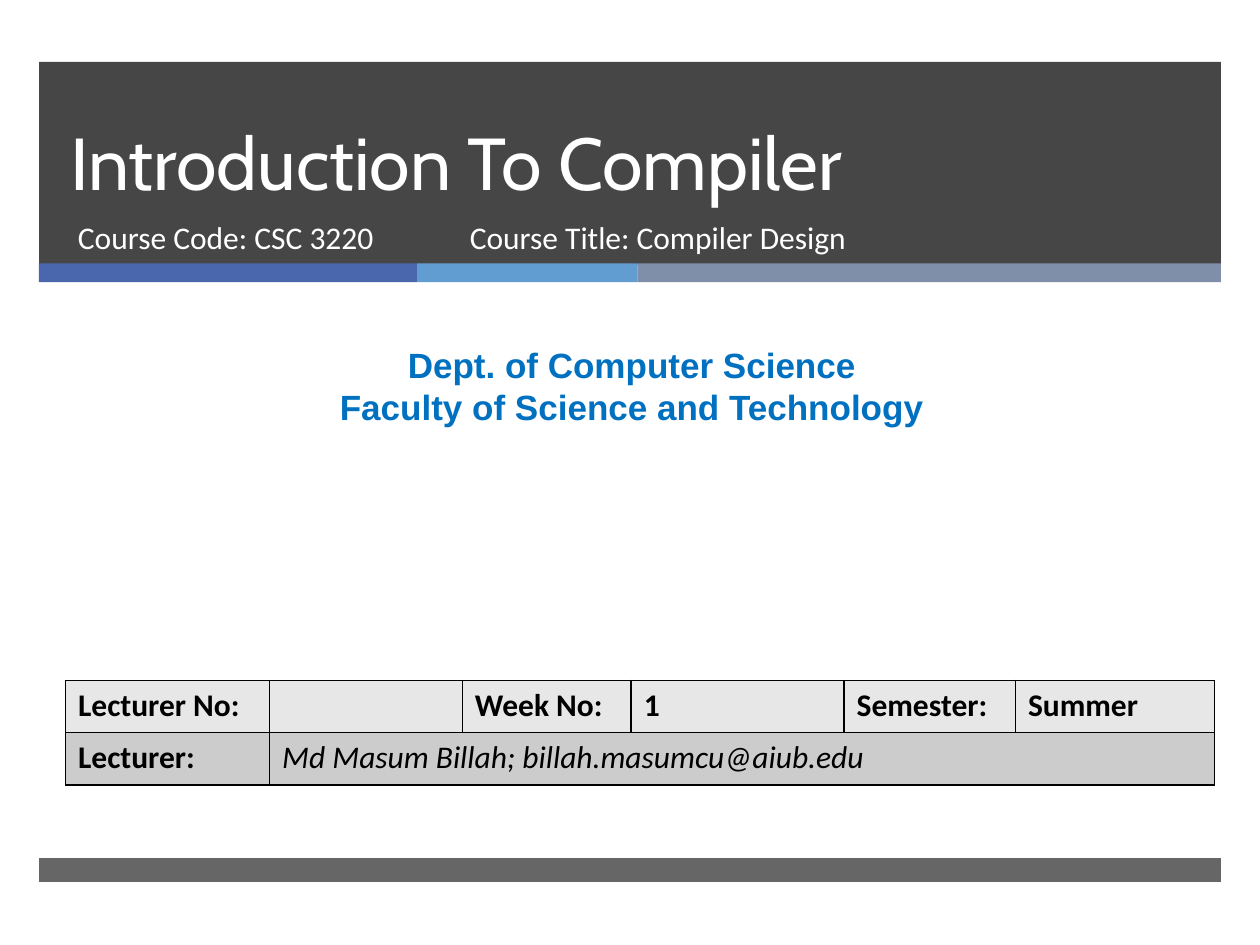
from lxml import etree
from pptx import Presentation
from pptx.dml.color import RGBColor
from pptx.enum.shapes import MSO_SHAPE
from pptx.enum.text import MSO_ANCHOR, PP_ALIGN
from pptx.oxml.ns import qn
from pptx.util import Inches, Pt

COLORS = {
    "dark": "262626", "indigo": "4A66AC", "sky": "629DD1", "slate": "7F8FA9",
    "white": "FFFFFF", "blue": "0070C0", "black": "000000",
    "row_light": "E7E7E7", "row_dark": "CCCCCC",
}
TITLE = {"name": "Cabin", "size": Pt(42)}
BODY = {"name": "Calibri", "size": Pt(18)}
HEADING = {"name": "Arial", "size": Pt(20), "bold": True}


def rgb(key):
    return RGBColor.from_string(COLORS[key])


def style_run(r, fmt, color):
    for attr, value in fmt.items():
        setattr(r.font, attr, value)
    r.font.color.rgb = rgb(color)


def add_bar(s, x, y, w, h, color, alpha=None):
    sp = s.shapes.add_shape(MSO_SHAPE.RECTANGLE, Inches(x), Inches(y), Inches(w), Inches(h))
    sp.shadow.inherit = False
    sp.fill.solid()
    sp.fill.fore_color.rgb = rgb(color)
    sp.line.fill.background()
    if alpha:
        clr = sp.fill._xPr.find(qn("a:solidFill"))[0]
        etree.SubElement(clr, qn("a:alpha"), val=str(alpha * 1000))


def add_text(s, x, y, w, h, lines, fmt, color, align=PP_ALIGN.LEFT,
             anchor=MSO_ANCHOR.TOP, spacing=None):
    tf = s.shapes.add_textbox(Inches(x), Inches(y), Inches(w), Inches(h)).text_frame
    tf.word_wrap = True
    tf.vertical_anchor = anchor
    for i, line in enumerate(lines):
        p = tf.add_paragraph() if i else tf.paragraphs[0]
        p.alignment = align
        p.line_spacing = spacing
        r = p.add_run()
        r.text = line
        style_run(r, fmt, color)


def add_header(s, x, y, w, h):
    add_bar(s, x, y, w, h, "dark", 85)
    left = x
    for width, color in ((3, "indigo"), (1.75, "sky"), (w - 4.75, "slate")):
        add_bar(s, left, y + h - 0.01, width, 0.15, color)
        left += width
    add_text(s, x + 0.15, y, 8.54, 1.19, ["Introduction To Compiler"], TITLE, "white",
             anchor=MSO_ANCHOR.BOTTOM, spacing=Pt(46))
    add_text(s, x + 0.21, y + 1.19, 3.05, 0.53, ["Course Code: CSC 3220"], BODY, "white")
    add_text(s, x + 3.32, y + 1.19, 4.55, 0.53, ["Course Title: Compiler Design"], BODY, "white")


def add_borders(cell):
    tc_pr = cell._tc.get_or_add_tcPr()
    for i, side in enumerate(("lnL", "lnR", "lnT", "lnB")):
        ln = etree.Element(qn(f"a:{side}"), w=str(Pt(1)))
        fill = etree.SubElement(ln, qn("a:solidFill"))
        etree.SubElement(fill, qn("a:srgbClr"), val=COLORS["black"])
        tc_pr.insert(i, ln)


def add_info_table(s, x, y, w, h):
    rows = [
        ["Lecturer No:", "", "Week No:", "1", "Semester:", "Summer"],
        ["Lecturer:", "Md Masum Billah; billah.masumcu@aiub.edu", "", "", "", ""],
    ]
    widths = [1.62, 1.53, 1.34, 1.69, 1.36, 1.58]
    table = s.shapes.add_table(len(rows), len(widths), Inches(x), Inches(y),
                               Inches(w), Inches(h)).table
    for column, width in zip(table.columns, widths):
        column.width = Inches(width)
    for i, (row, fill) in enumerate(zip(rows, ("row_light", "row_dark"))):
        for j, text in enumerate(row):
            cell = table.cell(i, j)
            cell.fill.solid()
            cell.fill.fore_color.rgb = rgb(fill)
            add_borders(cell)
            p = cell.text_frame.paragraphs[0]
            p.font.size = BODY["size"]
            if text:
                r = p.add_run()
                r.text = text
                is_name = (i, j) == (1, 1)
                style_run(r, {**BODY, "bold": not is_name, "italic": is_name}, "black")
    table.cell(1, 1).merge(table.cell(1, 5))


def main():
    prs = Presentation()
    prs.slide_width, prs.slide_height = Inches(10), Inches(7.5)
    s = prs.slides.add_slide(prs.slide_layouts[6])
    add_header(s, 0.31, 0.49, 9.38, 1.61)
    add_bar(s, 0.31, 6.81, 9.38, 0.19, "dark", 70)
    add_text(s, 0.08, 2.68, 9.87, 0.77,
             ["Dept. of Computer Science", "Faculty of Science and Technology"],
             HEADING, "blue", align=PP_ALIGN.CENTER)
    add_info_table(s, 0.52, 5.4, 9.12, 0.83)
    prs.save("out.pptx")


if __name__ == "__main__":
    main()
